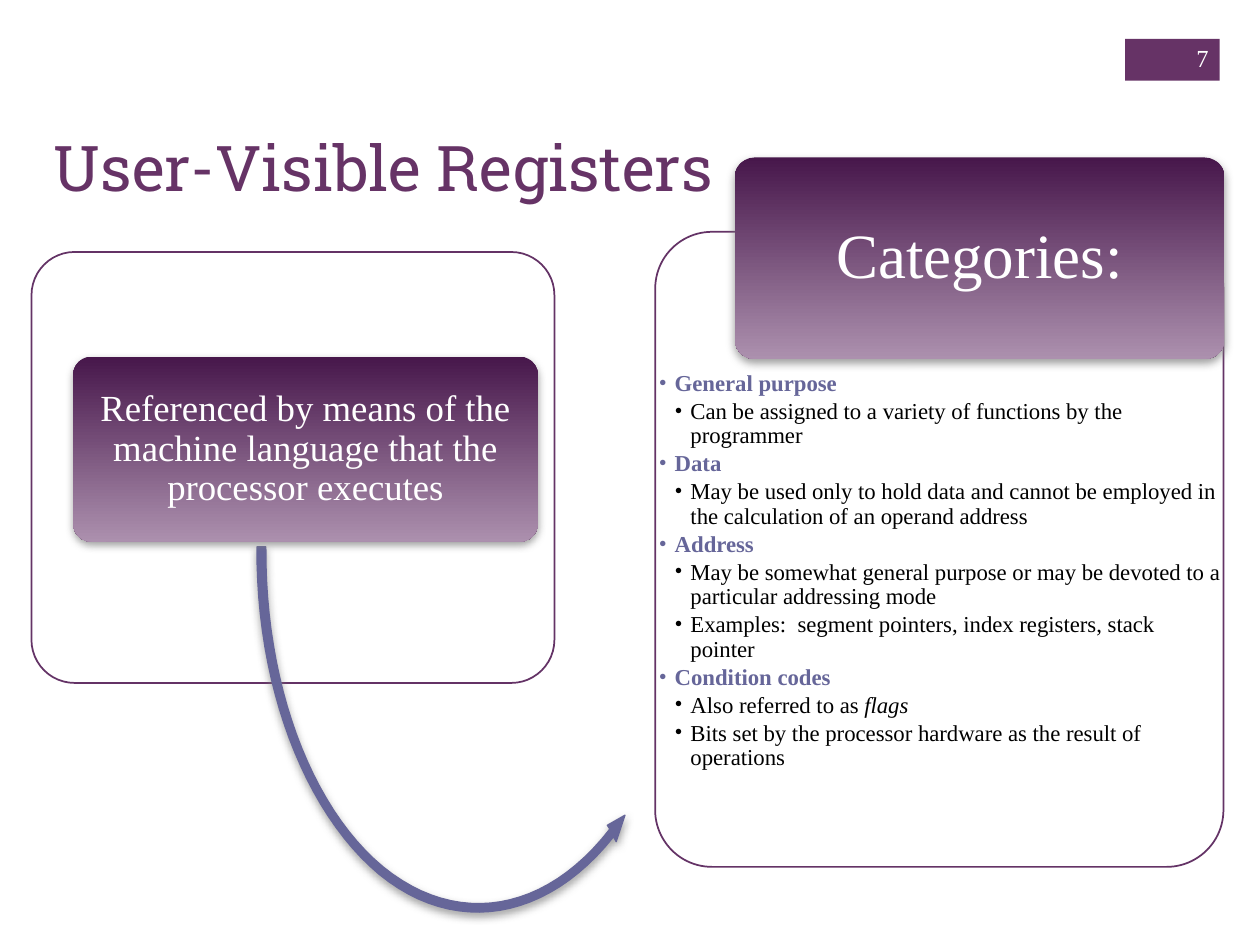
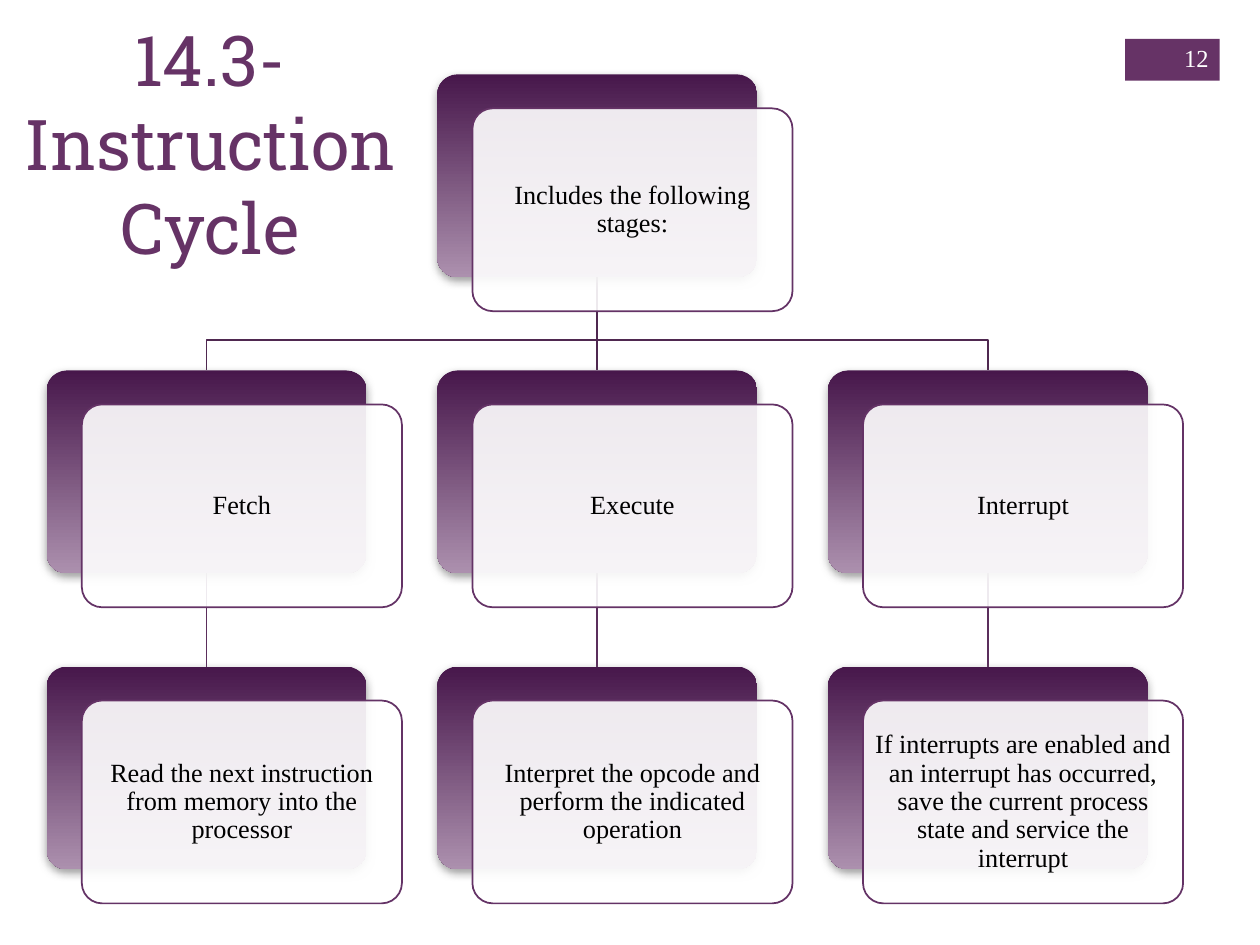
"""Build two slides about processor registers and the instruction cycle."""
from dataclasses import dataclass
from typing import NamedTuple

from lxml import etree
from pptx import Presentation
from pptx.dml.color import RGBColor
from pptx.enum.shapes import MSO_CONNECTOR, MSO_SHAPE
from pptx.enum.text import MSO_ANCHOR, PP_ALIGN
from pptx.oxml.ns import qn
from pptx.util import Inches, Pt

PURPLE = RGBColor(0x66, 0x33, 0x66)
OUTLINE = RGBColor(0x64, 0x33, 0x66)
DARK_PURPLE = RGBColor(0x47, 0x17, 0x4B)
LIGHT_PURPLE = RGBColor(0xAC, 0x90, 0xAE)
UPPER_BRANCH = RGBColor(0x4F, 0x28, 0x50)
LOWER_BRANCH = RGBColor(0x5B, 0x2E, 0x5C)
SLATE = RGBColor(0x66, 0x66, 0x99)
BLACK = RGBColor(0, 0, 0)
WHITE = RGBColor(0xFF, 0xFF, 0xFF)

TITLE_FONT = "Roboto Slab"
BODY_FONT = "Times New Roman"
RECTANGLE = MSO_SHAPE.RECTANGLE
ROUNDED = MSO_SHAPE.ROUNDED_RECTANGLE
STRAIGHT = MSO_CONNECTOR.STRAIGHT
TOP, MIDDLE = MSO_ANCHOR.TOP, MSO_ANCHOR.MIDDLE
LEFT, CENTER, RIGHT = PP_ALIGN.LEFT, PP_ALIGN.CENTER, PP_ALIGN.RIGHT
TOP_SIDE, BOTTOM_SIDE = 0, 2


class Box(NamedTuple):
    """A place on the slide, in inches."""
    left: float
    top: float
    width: float
    height: float

    def lengths(self) -> list:
        """Return the four values as lengths."""
        return [Inches(value) for value in self]


@dataclass
class TextStyle:
    """How a block of text looks."""
    size: float
    color: RGBColor
    font: str = BODY_FONT
    align: PP_ALIGN = CENTER
    anchor: MSO_ANCHOR = MIDDLE
    spacing: float = 0.9
    inset_x: float = 0.1
    inset_y: float = 0.05


class Bullet(NamedTuple):
    """A bullet line; headings sit on level 1, details on level 2."""
    level: int
    text: str
    emphasis: str = ""


CARD_TEXT = TextStyle(15, BLACK, inset_x=0.01, inset_y=0.01)
PAGE_NUMBER = TextStyle(14, WHITE, align=RIGHT, spacing=1)

CATEGORIES = [
    Bullet(1, "General purpose"),
    Bullet(2, "Can be assigned to a variety of functions by the programmer"),
    Bullet(1, "Data"),
    Bullet(2, "May be used only to hold data and cannot be employed in "
              "the calculation of an operand address"),
    Bullet(1, "Address"),
    Bullet(2, "May be somewhat general purpose or may be devoted to a "
              "particular addressing mode"),
    Bullet(2, "Examples:  segment pointers, index registers, stack pointer"),
    Bullet(1, "Condition codes"),
    Bullet(2, "Also referred to as ", "flags"),
    Bullet(2, "Bits set by the processor hardware as the result of operations"),
]

STAGES = {
    "Fetch": "Read the next instruction from memory into the processor",
    "Execute": "Interpret the opcode and perform the indicated operation",
    "Interrupt": "If interrupts are enabled and an interrupt has occurred, "
                 "save the current process state and service the interrupt",
}

CARD_WIDTH, CARD_HEIGHT = 2.54, 1.61
CARD_LEFT, CARD_TOP = 0.37, 0.59
COLUMN_STEP, ROW_STEP = 3.1, 2.35
PANEL_SHIFT_X, PANEL_SHIFT_Y = 0.28, 0.27
BRANCH_DROP = Inches(0.5)

ARROW_START = (2.04, 4.34)
ARROW_OUTER = [
    ((2.11, 4.34), (2.1, 5.41), (2.46, 6.4), (3.04, 6.88)),
    ((3.04, 6.88), (3.63, 7.36), (4.33, 7.24), (4.84, 6.58)),
]
ARROW_HEAD = [(4.82, 6.55), (4.96, 6.47), (4.89, 6.68), (4.87, 6.64)]
ARROW_INNER = [
    ((4.87, 6.64), (4.34, 7.31), (3.61, 7.43), (3.01, 6.94)),
    ((3.01, 6.94), (2.41, 6.44), (2.03, 5.43), (2.04, 4.34)),
]


def style_paragraph(paragraph, style: TextStyle) -> None:
    """Apply alignment, spacing and font to a paragraph."""
    paragraph.alignment = style.align
    paragraph.line_spacing = style.spacing
    paragraph.font.size = Pt(style.size)
    paragraph.font.name = style.font
    paragraph.font.color.rgb = style.color


def set_frame(shape, style: TextStyle):
    """Set up the text frame of a shape and return it."""
    frame = shape.text_frame
    frame.word_wrap = True
    frame.vertical_anchor = style.anchor
    frame.margin_left = frame.margin_right = Inches(style.inset_x)
    frame.margin_top = frame.margin_bottom = Inches(style.inset_y)
    return frame


def write(shape, text: str, style: TextStyle) -> None:
    """Write one paragraph into a shape."""
    paragraph = set_frame(shape, style).paragraphs[0]
    paragraph.text = text
    style_paragraph(paragraph, style)


def add_text(slide, box: Box, text: str, style: TextStyle) -> None:
    """Add a text box with one paragraph."""
    write(slide.shapes.add_textbox(*box.lengths()), text, style)


def add_shadow(shape) -> None:
    """Give a shape a soft shadow below it."""
    shape.shadow.inherit = False
    effects = shape._element.spPr.find(qn("a:effectLst"))
    shadow = etree.SubElement(effects, qn("a:outerShdw"), blurRad=str(Pt(5)),
                              dist=str(Pt(2)), dir="5400000", rotWithShape="0")
    color = etree.SubElement(shadow, qn("a:srgbClr"), val="808080")
    etree.SubElement(color, qn("a:alpha"), val="75000")


def add_rounded(slide, box: Box):
    """Add a rounded rectangle without a shadow."""
    shape = slide.shapes.add_shape(ROUNDED, *box.lengths())
    shape.adjustments[0] = 0.1
    shape.shadow.inherit = False
    return shape


def add_plate(slide, box: Box):
    """Add a shaded plate with a shadow."""
    plate = add_rounded(slide, box)
    plate.fill.gradient()
    plate.fill.gradient_angle = 270
    for stop, color, position in zip(plate.fill.gradient_stops,
                                     (DARK_PURPLE, LIGHT_PURPLE), (0, 1)):
        stop.color.rgb = color
        stop.position = position
    plate.line.fill.background()
    add_shadow(plate)
    return plate


def add_panel(slide, box: Box):
    """Add an outlined, slightly see-through white panel."""
    panel = add_rounded(slide, box)
    panel.fill.solid()
    panel.fill.fore_color.rgb = WHITE
    color = panel._element.spPr.find(qn("a:solidFill"))[0]
    etree.SubElement(color, qn("a:alpha"), val="90000")
    panel.line.color.rgb = OUTLINE
    panel.line.width = Pt(1)
    return panel


def add_outline(slide, points: list, close: bool):
    """Add a freeform through points given as lengths."""
    builder = slide.shapes.build_freeform(*points[0])
    builder.add_line_segments(points[1:], close=close)
    shape = builder.convert_to_shape()
    shape.shadow.inherit = False
    return shape


def curve_points(curve: tuple, steps: int = 24) -> list:
    """Return points along a cubic curve."""
    points = []
    for step in range(steps + 1):
        t = step / steps
        weights = ((1 - t) ** 3, 3 * t * (1 - t) ** 2, 3 * t * t * (1 - t), t ** 3)
        points.append(tuple(sum(weight * point[axis] for weight, point in zip(weights, curve))
                            for axis in (0, 1)))
    return points


def add_curved_arrow(slide) -> None:
    """Add the arrow that sweeps from the statement to the categories."""
    outer, inner = ([point for curve in side for point in curve_points(curve)]
                    for side in (ARROW_OUTER, ARROW_INNER))
    points = [(Inches(x), Inches(y)) for x, y in [ARROW_START, *outer, *ARROW_HEAD, *inner]]
    arrow = add_outline(slide, points, True)
    arrow.fill.solid()
    arrow.fill.fore_color.rgb = SLATE
    arrow.line.color.rgb = SLATE
    arrow.line.width = Pt(0.75)
    add_shadow(arrow)


def add_bullets(slide, box: Box, bullets: list[Bullet]) -> None:
    """Add the two-level bullet list."""
    frame = set_frame(slide.shapes.add_textbox(*box.lengths()),
                      TextStyle(13, BLACK, anchor=TOP, inset_x=0.03, inset_y=0.03))
    for index, bullet in enumerate(bullets):
        paragraph = frame.add_paragraph() if index else frame.paragraphs[0]
        heading = bullet.level == 1
        color = SLATE if heading else BLACK
        paragraph.level = bullet.level
        properties = paragraph._p.get_or_add_pPr()
        properties.set("marL", str(Inches(0.125 * bullet.level)))
        properties.set("indent", str(Inches(-0.125)))
        bullet_color = etree.SubElement(properties, qn("a:buClr"))
        etree.SubElement(bullet_color, qn("a:srgbClr"), val=str(color))
        etree.SubElement(properties, qn("a:buFont"), typeface=BODY_FONT)
        etree.SubElement(properties, qn("a:buChar"), char="•")
        style_paragraph(paragraph, TextStyle(13, color, align=LEFT))
        paragraph.font.bold = heading
        if index:
            paragraph.space_before = Pt(1.9)
        paragraph.add_run().text = bullet.text
        if bullet.emphasis:
            run = paragraph.add_run()
            run.text = bullet.emphasis
            run.font.italic = True


def add_card(slide, column: int, row: int, text: str):
    """Add a plate with a text panel in front and return the plate."""
    box = Box(CARD_LEFT + column * COLUMN_STEP, CARD_TOP + row * ROW_STEP,
              CARD_WIDTH, CARD_HEIGHT)
    plate = add_plate(slide, box)
    panel_box = box._replace(left=box.left + PANEL_SHIFT_X, top=box.top + PANEL_SHIFT_Y)
    write(add_panel(slide, panel_box), text, CARD_TEXT)
    return plate


def send_to_back(slide, shape) -> None:
    """Move a line behind the cards but in front of the page band."""
    slide.shapes._spTree.insert(3, shape._element)


def join_straight(slide, upper, lower, color: RGBColor) -> None:
    """Join two plates with a vertical connector."""
    connector = slide.shapes.add_connector(STRAIGHT, 0, 0, 0, 0)
    connector.begin_connect(upper, BOTTOM_SIDE)
    connector.end_connect(lower, TOP_SIDE)
    connector.line.color.rgb = color
    connector.line.width = Pt(1)
    etree.SubElement(connector._element.spPr, qn("a:effectLst"))
    send_to_back(slide, connector)


def join_bent(slide, upper, lower) -> None:
    """Join two plates of different columns with a bent line."""
    start_x, end_x = (plate.left + plate.width // 2 for plate in (upper, lower))
    start_y = upper.top + upper.height
    bend_y = start_y + BRANCH_DROP
    branch = add_outline(slide, [(start_x, start_y), (start_x, bend_y),
                                 (end_x, bend_y), (end_x, lower.top)], False)
    branch.fill.background()
    branch.line.color.rgb = UPPER_BRANCH
    branch.line.width = Pt(1)
    send_to_back(slide, branch)


def add_page(presentation, number: int, title: str, title_box: Box, title_style: TextStyle):
    """Add a blank slide with page band, page number and title."""
    slide = presentation.slides.add_slide(presentation.slide_layouts[6])
    band = slide.shapes.add_shape(RECTANGLE, *Box(8.93, 0.31, 0.75, 0.33).lengths())
    band.fill.solid()
    band.fill.fore_color.rgb = PURPLE
    band.line.fill.background()
    band.shadow.inherit = False
    add_text(slide, Box(9.08, 0.26, 0.61, 0.4), str(number), PAGE_NUMBER)
    add_text(slide, title_box, title, title_style)
    return slide


def build_registers(presentation) -> None:
    """Build the slide on user-visible registers."""
    slide = add_page(presentation, 7, "User-Visible Registers", Box(0.33, 0.97, 8.26, 1.22),
                     TextStyle(36, PURPLE, TITLE_FONT, LEFT, TOP, 1))
    add_panel(slide, Box(0.25, 2, 4.15, 3.42))
    add_curved_arrow(slide)
    write(add_plate(slide, Box(0.58, 2.83, 3.69, 1.47)),
          "Referenced by means of the machine language that the processor executes",
          TextStyle(21, WHITE, inset_x=0, inset_y=0))
    add_panel(slide, Box(5.2, 1.84, 4.51, 5.04))
    add_bullets(slide, Box(5.2, 2.92, 4.51, 3.96), CATEGORIES)
    write(add_plate(slide, Box(5.83, 1.25, 3.89, 1.6)), "Categories:",
          TextStyle(36, WHITE, inset_x=0.02, inset_y=0))


def build_cycle(presentation) -> None:
    """Build the slide on the instruction cycle."""
    slide = add_page(presentation, 12, "14.3-Instruction Cycle", Box(0.05, 0.08, 3.23, 2.11),
                     TextStyle(40, PURPLE, TITLE_FONT, CENTER, TOP, 1))
    root = add_card(slide, 1, 0, "Includes the following stages:")
    for column, (stage, action) in enumerate(STAGES.items()):
        stage_plate = add_card(slide, column, 1, stage)
        action_plate = add_card(slide, column, 2, action)
        join_straight(slide, stage_plate, action_plate, LOWER_BRANCH)
        if stage_plate.left == root.left:
            join_straight(slide, root, stage_plate, UPPER_BRANCH)
        else:
            join_bent(slide, root, stage_plate)


def main() -> None:
    """Build and save the presentation."""
    presentation = Presentation()
    presentation.slide_width, presentation.slide_height = Inches(10), Inches(7.5)
    build_registers(presentation)
    build_cycle(presentation)
    presentation.save("out.pptx")


if __name__ == "__main__":
    main()
